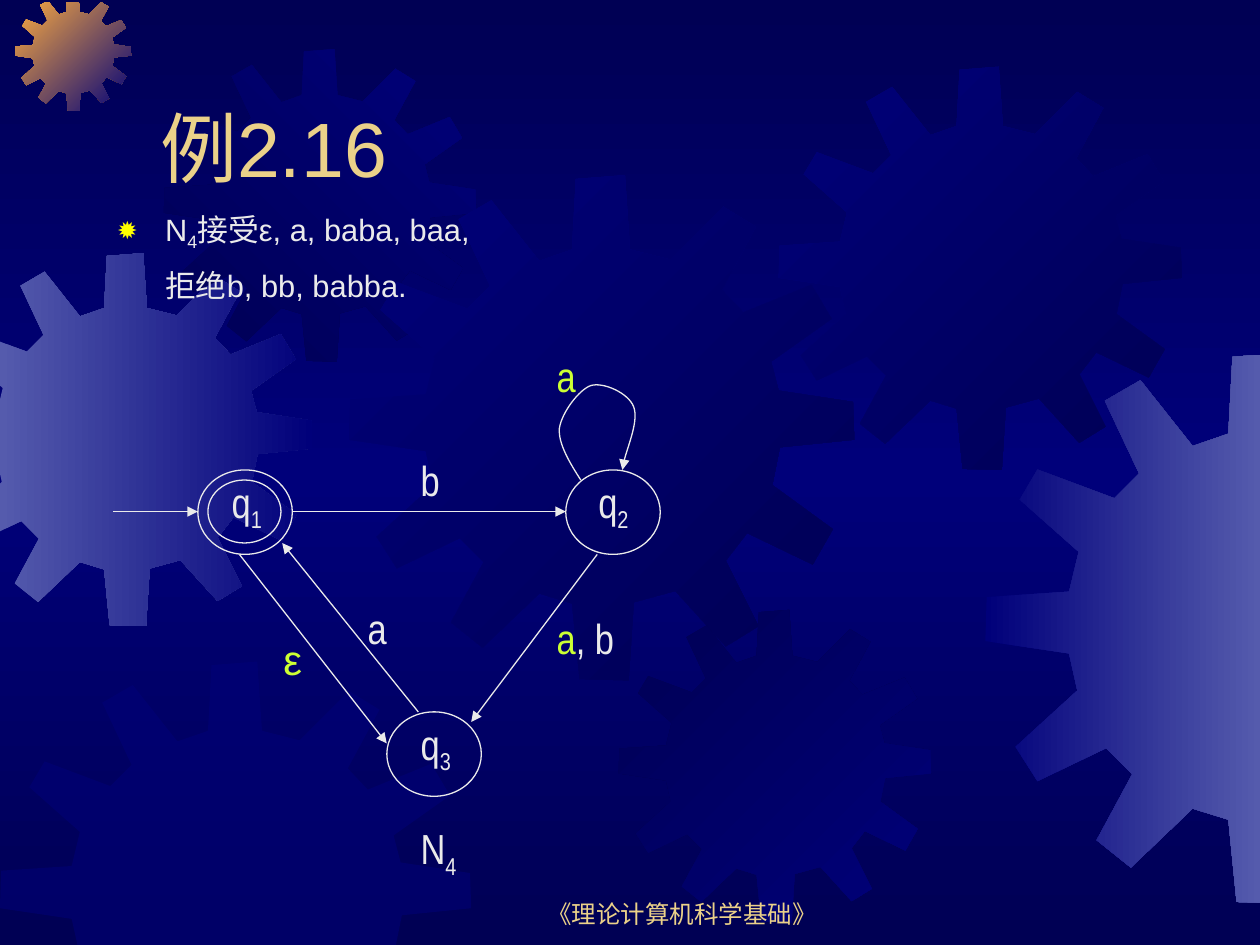
from copy import deepcopy
from typing import Any, NamedTuple

from lxml.etree import SubElement as Sub
from pptx import Presentation
from pptx.dml.color import RGBColor
from pptx.enum.shapes import MSO_CONNECTOR as Link, MSO_SHAPE as Form
from pptx.enum.text import MSO_ANCHOR as Anchor, MSO_AUTO_SIZE as Fit, PP_ALIGN as Align
from pptx.oxml.ns import qn
from pptx.util import Inches, Pt

DARK, BLUE, PALE, ORANGE = "000054", "00007A", "555BAD", "FCAB40"
GOLD, LIGHT, LIME, YELLOW = "EBD189", "EAEAEA", "CCFF33", "FFFF00"
WIDE, HIGH = 10, 7.5
SPAN = 401
TEETH = [
    (255, 67), (223, 59), (219, 0), (180, 3), (177, 59), (151, 68), (113, 20), (87, 35),
    (112, 88), (94, 106), (38, 85), (25, 107), (68, 145), (61, 174), (1, 178), (0, 210),
    (61, 219), (67, 246), (22, 287), (38, 312), (88, 288), (107, 307), (81, 355), (106, 375),
    (151, 332), (177, 340), (183, 400), (222, 401), (226, 339), (259, 330), (299, 374), (325, 358),
    (299, 306), (316, 284), (368, 309), (384, 281), (336, 246), (342, 216), (401, 210), (400, 180),
    (341, 171), (335, 148), (383, 114), (367, 87), (313, 109), (296, 91), (323, 41), (297, 25),
]
LOOP = [(4.61, 3.81), (4.52, 3.67), (4.43, 3.52), (4.44, 3.4), (4.46, 3.27), (4.6, 3.09),
        (4.69, 3.06), (4.79, 3.03), (4.99, 3.12), (5.03, 3.23), (5.07, 3.34), (4.94, 3.65),
        (4.94, 3.73)]
Points = list[tuple[float, float]]


class Gear(NamedTuple):
    x: float
    y: float
    size: float
    hues: tuple[str, ...]
    angle: int = 0


class Bit(NamedTuple):
    text: str
    hue: str = LIGHT
    sub: bool = False
    font: str = "Arial Narrow"


class Label(NamedTuple):
    x: float
    y: float
    w: float
    h: float
    bits: tuple[Bit, ...]


class Edge(NamedTuple):
    x1: float
    y1: float
    x2: float
    y2: float


class Ring(NamedTuple):
    x: float
    y: float
    w: float = 0.75
    h: float = 0.67


GEARS = [
    Gear(-0.48, 2.01, 2.96, (PALE, BLUE)),
    Gear(0.12, -0.04, 0.92, (ORANGE, BLUE), 45),
    Gear(1.3, 0.39, 2.48, (DARK, BLUE), 315),
    Gear(2.77, 1.39, 4.01, (BLUE, DARK), 45),
    Gear(0, 5.25, 3.74, (BLUE,)),
    Gear(4.91, 4.84, 2.48, (DARK, BLUE), 45),
    Gear(6.18, 0.53, 3.2, (BLUE, DARK), 45),
    Gear(7.82, 2.8, 4.37, (BLUE, PALE)),
]
RINGS = [Ring(1.57, 3.73), Ring(4.49, 3.73), Ring(3.07, 5.65), Ring(1.65, 3.81, 0.58, 0.5)]
EDGES = [
    Edge(0.9, 4.06, 1.57, 4.06), Edge(2.32, 4.06, 4.49, 4.06), Edge(4.74, 4.4, 3.74, 5.73),
    Edge(3.32, 5.65, 2.24, 4.31), Edge(1.9, 4.4, 3.07, 5.9),
]
LABELS = [
    Label(1.74, 3.73, 0.5, 0.56, (Bit("q"), Bit("1", sub=True))),
    Label(4.65, 3.73, 0.5, 0.56, (Bit("q"), Bit("2", sub=True))),
    Label(3.24, 5.65, 0.5, 0.56, (Bit("q"), Bit("3", sub=True))),
    Label(4.32, 4.81, 0.67, 0.5, (Bit("a", LIME), Bit(", b"))),
    Label(2.15, 4.98, 0.5, 0.5, (Bit("ε", LIME, font="Arial"),)),
    Label(4.32, 2.73, 0.5, 0.5, (Bit("a", LIME),)),
    Label(3.24, 6.48, 0.67, 0.56, (Bit("N"), Bit("4", sub=True))),
    Label(3.24, 3.56, 0.58, 0.5, (Bit("b"),)),
    Label(2.82, 4.73, 0.5, 0.5, (Bit("a"),)),
]


def rgb(hue: str) -> RGBColor:
    return RGBColor.from_string(hue)


def blend(fill: Any, node: Any, hues: tuple[str, ...], angle: int) -> None:
    fill.gradient()
    fill.gradient_angle = -angle % 360
    stops = next(node.iter(qn("a:gsLst")))
    while len(stops) < len(hues):
        stops.append(deepcopy(stops[-1]))
    for i, (stop, hue) in enumerate(zip(fill.gradient_stops, hues)):
        stop.color.rgb = rgb(hue)
        stop.position = i / (len(hues) - 1)


def clip(points: Points, axis: int, edge: float, sign: int) -> Points:
    kept: Points = []
    for a, b in zip(points[-1:] + points[:-1], points):
        da, db = sign * (a[axis] - edge), sign * (b[axis] - edge)
        if (da < 0) != (db < 0):
            t = da / (da - db)
            kept.append((a[0] + t * (b[0] - a[0]), a[1] + t * (b[1] - a[1])))
        if db >= 0:
            kept.append(b)
    return kept


def trace(slide: Any, points: Points, close: bool) -> Any:
    spots = [(Inches(x), Inches(y)) for x, y in points]
    pen = slide.shapes.build_freeform(*spots[0])
    pen.add_line_segments(spots[1:], close=close)
    shape = pen.convert_to_shape()
    shape.shadow.inherit = False
    return shape


def draw_gear(slide: Any, gear: Gear) -> None:
    k = gear.size / SPAN
    points = [(gear.x + k * x, gear.y + k * y) for x, y in TEETH]
    for axis, edge, sign in ((0, 0, 1), (0, WIDE, -1), (1, 0.02, 1), (1, HIGH, -1)):
        points = clip(points, axis, edge, sign)
    shape = trace(slide, points, True)
    shape.line.fill.background()
    if len(gear.hues) > 1:
        blend(shape.fill, shape.element, gear.hues, gear.angle)
    else:
        shape.fill.solid()
        shape.fill.fore_color.rgb = rgb(gear.hues[0])
        Sub(next(shape.element.iter(qn("a:srgbClr"))), qn("a:alpha"), val="50000")


def stroke(shape: Any, arrow: bool) -> None:
    shape.line.color.rgb = rgb(LIGHT)
    shape.line.width = Pt(0.75)
    if arrow:
        Sub(next(shape.element.iter(qn("a:ln"))), qn("a:tailEnd"), type="triangle")


def draw_ring(slide: Any, ring: Ring) -> None:
    shape = slide.shapes.add_shape(Form.OVAL, *map(Inches, ring))
    shape.shadow.inherit = False
    shape.fill.background()
    stroke(shape, False)


def draw_edge(slide: Any, edge: Edge) -> None:
    line = slide.shapes.add_connector(Link.STRAIGHT, *map(Inches, edge))
    stroke(line, True)
    Sub(line.element.spPr, qn("a:effectLst"))


def draw_loop(slide: Any) -> None:
    shape = trace(slide, LOOP, False)
    shape.fill.background()
    stroke(shape, True)
    legs = list(shape.element.iter(qn("a:lnTo")))
    for i in range(0, len(legs), 3):
        legs[i].tag = qn("a:cubicBezTo")
        for leg in legs[i + 1:i + 3]:
            legs[i].append(leg[0])
            leg.getparent().remove(leg)


def write(para: Any, bits: tuple[Bit, ...], size: float) -> None:
    for bit in bits:
        run = para.add_run()
        run.text = bit.text
        run.font.size = Pt(size)
        run.font.name = bit.font
        run.font.color.rgb = rgb(bit.hue)
        if bit.sub:
            run.font._element.set("baseline", "-25000")


def add_label(slide: Any, label: Label) -> None:
    frame = slide.shapes.add_textbox(*map(Inches, label[:4])).text_frame
    frame.word_wrap = True
    frame.auto_size = Fit.SHAPE_TO_FIT_TEXT
    write(frame.paragraphs[0], label.bits, 24)


def place(shape: Any, x: float, y: float, w: float, h: float) -> Any:
    shape.left, shape.top, shape.width, shape.height = map(Inches, (x, y, w, h))
    shape.text_frame.auto_size = Fit.NONE
    return shape.text_frame


def fill_title(title: Any) -> None:
    frame = place(title, 1.17, 0.33, 8.5, 1.25)
    frame.vertical_anchor = Anchor.BOTTOM
    para = frame.paragraphs[0]
    para.alignment = Align.LEFT
    write(para, (Bit("例2.16", GOLD, font="Arial"),), 44)


def fill_body(body: Any) -> None:
    frame = place(body, 0.83, 1.62, 8.5, 0.83)
    first, last = frame.paragraphs[0], frame.add_paragraph()
    for para, dent in ((first, -0.38), (last, 0)):
        props = para._p.get_or_add_pPr()
        props.set("marL", str(Inches(0.38)))
        props.set("indent", str(Inches(dent)))
    props = first._p.get_or_add_pPr()
    Sub(Sub(props, qn("a:buClr")), qn("a:srgbClr"), val=YELLOW)
    Sub(props, qn("a:buSzPct"), val="80000")
    Sub(props, qn("a:buChar"), char="✹")
    Sub(last._p.get_or_add_pPr(), qn("a:buNone"))
    first.space_before, last.space_before = Pt(0), Pt(8)
    write(first, (Bit("N", font="Arial"), Bit("4", sub=True, font="Arial"),
                  Bit("接受ε, a, baba, baa,", font="Arial")), 17.6)
    write(last, (Bit("拒绝b, bb, babba.", font="Arial"),), 17.6)


def add_foot(slide: Any) -> None:
    frame = slide.shapes.add_textbox(*map(Inches, (3.83, 6.92, 3.17, 0.5))).text_frame
    frame.word_wrap = True
    frame.vertical_anchor = Anchor.BOTTOM
    frame.paragraphs[0].alignment = Align.CENTER
    write(frame.paragraphs[0], (Bit("《理论计算机科学基础》", GOLD, font="Arial"),), 14)


def main() -> None:
    deck = Presentation()
    deck.slide_width, deck.slide_height = Inches(WIDE), Inches(HIGH)
    slide = deck.slides.add_slide(deck.slide_layouts[1])
    title, body = slide.placeholders
    blend(slide.background.fill, slide.element, (DARK, BLUE, DARK), 90)
    for gear in GEARS:
        draw_gear(slide, gear)
    add_foot(slide)
    fill_title(title)
    fill_body(body)
    for holder in (title, body):
        slide.shapes.element.append(holder.element)
    for ring in RINGS:
        draw_ring(slide, ring)
    for edge in EDGES:
        draw_edge(slide, edge)
    draw_loop(slide)
    for label in LABELS:
        add_label(slide, label)
    deck.save("out.pptx")


if __name__ == "__main__":
    main()
